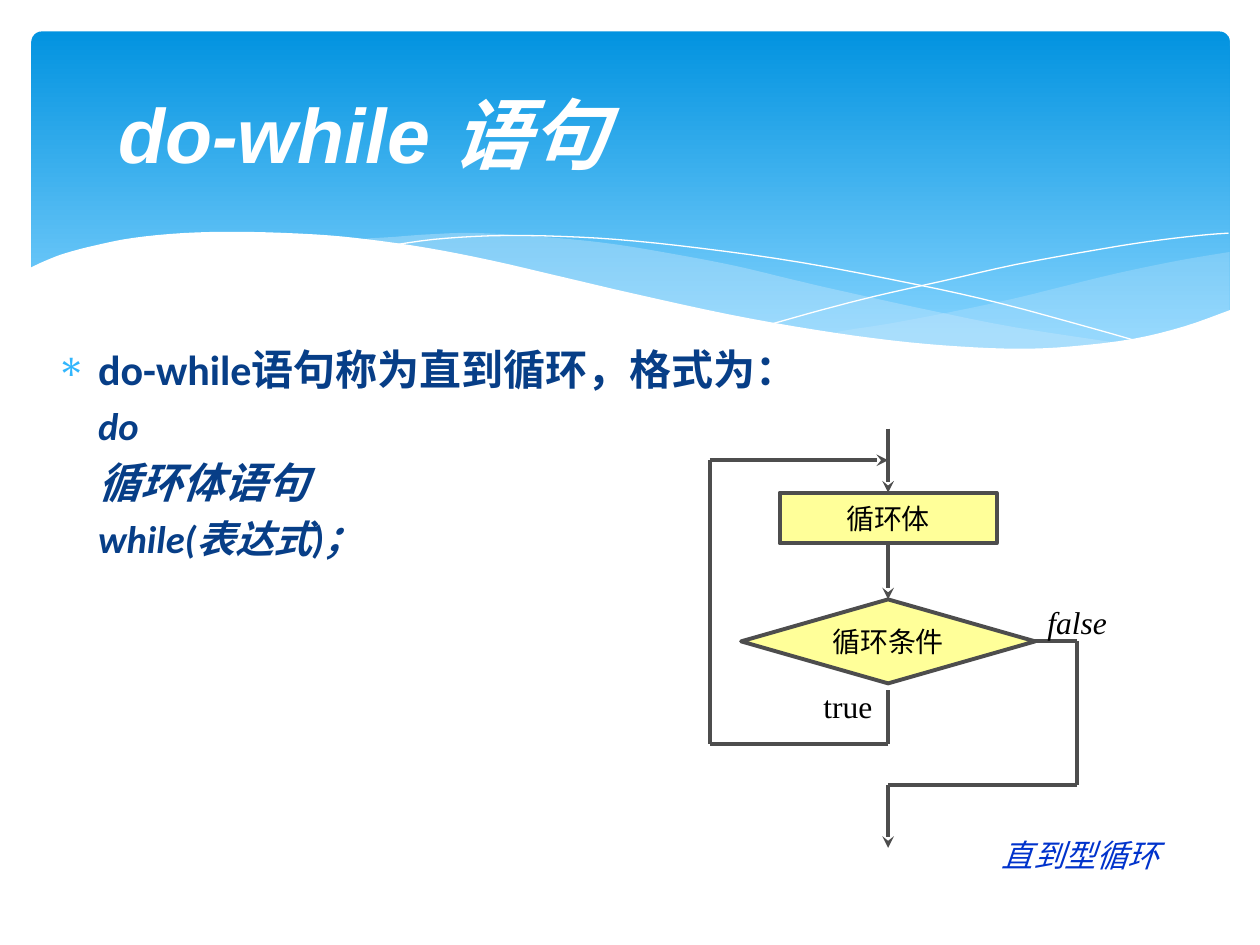
from lxml import etree
from pptx import Presentation
from pptx.dml.color import RGBColor
from pptx.enum import shapes, text
from pptx.oxml import ns
from pptx.util import Pt

COLORS = {"sky_top": "0293E0", "sky_bottom": "83D3FE", "mist": "C6E7FC", "white": "FFFFFF",
          "navy": "073E87", "bullet": "31B6FD", "box": "FFFF99", "line": "4D4D4D",
          "black": "000000", "caption": "0033CC"}

# Content
TITLE = "do-while 语句"
BODY = [  # text, size, italic, bulleted
    ("do-while语句称为直到循环，格式为：", 24, False, True),
    ("do", 22, True, False),
    ("循环体语句", 24, True, False),
    ("while(表达式)；", 22, True, False),
]
LABELS = [  # text, box, colour, italic
    ("true", (461.5, 389, 46, 29), "black", False),
    ("false", (591, 341, 49, 29), "black", True),
    ("直到型循环", (565, 474, 105, 29), "caption", True),
]

# Wave curves of the banner
RIGHT_WAVE = [
    (702.7, 144), (673, 149), (641.5, 155.5), (620, 160.6), (579.6, 170.6), (542, 178.6),
    (508, 185), (476, 190.8), (507.6, 195), (536, 198), (578, 200), (615, 198.7),
    (646, 194.4), (673, 188.6), (702.7, 177.8)]
LEFT_WAVE = [
    (643, 196.6), (581, 187.2), (533.5, 177.8), (481, 166.3), (453, 159.8), (420.5, 152),
    (389.5, 146), (352, 139.7), (318, 136), (273.6, 133.2), (247.7, 133.8), (225.4, 135.4),
    (206, 137.5), (246, 143.3), (291, 152), (323, 159.8), (381.6, 172.8), (432.7, 183.6),
    (479, 191.5), (520, 197), (556.6, 199.4), (589, 200.2), (617, 199.4), (643, 196.6)]
FALLING_STRAND = [
    (222.5, 140.4), (247.7, 136.8), (278.6, 134.8), (311.8, 134.8), (352, 136.8), (400, 141.8),
    (458, 150), (523.4, 162.5), (572.4, 173.5), (625.7, 188), (653, 195.8)]
RISING_STRAND = [
    (441.4, 185), (470, 177), (500.4, 169.2), (538.6, 160.6), (580.3, 151.2), (623.5, 143.3),
    (655, 138.2), (684.7, 134.6), (702, 133.2)]
PAGE_EDGE = [
    (703.4, 177), (676.8, 186.5), (647.3, 193.7), (612, 198), (582.5, 199.3), (548, 198),
    (510, 194.6), (466.6, 188.6), (417, 179.8), (362, 167.8), (321.8, 158.4), (281.5, 149),
    (244.8, 141.8), (210, 136.8), (180, 134), (139, 132.5), (105, 133.2), (76, 136),
    (54.7, 140.2), (37.4, 144.7), (26, 149), (16.6, 153.4)]
PAGE_CORNERS = [(16.6, 237), (703.4, 237)]

# Flowchart grid
SPINE, LOOP_X, EXIT_X = 507.5, 405.5, 615.5
LOOP_TOP, LOOP_BOTTOM, EXIT_Y = 263, 425, 448.5
PROCESS = ("循环体", shapes.MSO_SHAPE.FLOWCHART_PROCESS, 281.5, 124, 29)
DECISION = ("循环条件", shapes.MSO_SHAPE.FLOWCHART_DECISION, 342.5, 168, 48)

deck = Presentation()
deck.slide_width, deck.slide_height = Pt(720), Pt(540)
slide = deck.slides.add_slide(deck.slide_layouts[6])


def rgb(name):
    return RGBColor.from_string(COLORS[name])


def smooth_curve(knots, steps=4):
    """Catmull-Rom points through the knots."""
    padded = [knots[0], *knots, knots[-1]]
    points = [knots[0]]
    for a, b, c, d in zip(padded, padded[1:], padded[2:], padded[3:]):
        for step in range(1, steps + 1):
            t = step / steps
            points.append(tuple(
                0.5 * (2 * q + (r - p) * t + (2 * p - 5 * q + 4 * r - s) * t ** 2
                       + (3 * q - p - 3 * r + s) * t ** 3)
                for p, q, r, s in zip(a, b, c, d)))
    return points


def add_outline(points, fill=None, alpha=100):
    (start_x, start_y), *rest = [(Pt(x), Pt(y)) for x, y in points]
    builder = slide.shapes.build_freeform(start_x, start_y)
    builder.add_line_segments(rest, close=fill is not None)
    outline = builder.convert_to_shape()
    outline.shadow.inherit = False
    if fill is None:
        outline.fill.background()
        outline.line.color.rgb = rgb("white")
        outline.line.width = Pt(0)
        return
    outline.line.fill.background()
    outline.fill.solid()
    outline.fill.fore_color.rgb = rgb(fill)
    if alpha < 100:
        color = outline.fill._xPr.find(".//" + ns.qn("a:srgbClr"))
        etree.SubElement(color, ns.qn("a:alpha"), val=str(alpha * 1000))


def style(paragraph, size, font, color, bold=False, italic=False):
    for run in paragraph.runs:
        run.font.size, run.font.name = Pt(size), font
        run.font.color.rgb = rgb(color)
        run.font.bold, run.font.italic = bold, italic


def add_text(box, wrap=True, anchor=text.MSO_ANCHOR.MIDDLE):
    frame = slide.shapes.add_textbox(*map(Pt, box)).text_frame
    frame.word_wrap, frame.vertical_anchor = wrap, anchor
    return frame


def add_step(label, kind, top, width, height):
    step = slide.shapes.add_shape(kind, Pt(SPINE - width / 2), Pt(top), Pt(width), Pt(height))
    step.shadow.inherit = False
    step.fill.solid()
    step.fill.fore_color.rgb = rgb("box")
    step.line.color.rgb, step.line.width = rgb("line"), Pt(2.25)
    frame = step.text_frame
    frame.text, frame.word_wrap = label, False
    frame.vertical_anchor = text.MSO_ANCHOR.MIDDLE
    frame.paragraphs[0].alignment = text.PP_ALIGN.CENTER
    style(frame.paragraphs[0], 16, "Times New Roman", "black")
    return step


def add_flow(points, arrow=False, begin=None, end=None):
    """Straight segments through the points, the last one with an optional arrowhead."""
    for start, stop in zip(points, points[1:]):
        flow = slide.shapes.add_connector(shapes.MSO_CONNECTOR.STRAIGHT, *map(Pt, start + stop))
        flow.line.color.rgb, flow.line.width = rgb("line"), Pt(2.25)
        if arrow and stop == points[-1]:
            etree.SubElement(flow.line._get_or_add_ln(), ns.qn("a:tailEnd"), type="stealth")
        etree.SubElement(flow._element.spPr, ns.qn("a:effectLst"))
        if begin and start == points[0]:
            flow.begin_connect(*begin)
        if end and stop == points[-1]:
            flow.end_connect(*end)


# Banner
banner = slide.shapes.add_shape(shapes.MSO_SHAPE.ROUNDED_RECTANGLE, Pt(18), Pt(18), Pt(684.7), Pt(194.4))
banner.adjustments[0] = 0.03
banner.shadow.inherit = False
banner.line.fill.background()
banner.fill.gradient()
banner.fill.gradient_angle = 270
for stop, position, color in zip(banner.fill.gradient_stops, (0, 0.9), ("sky_top", "sky_bottom")):
    stop.position, stop.color.rgb = position, rgb(color)
add_outline(smooth_curve(RIGHT_WAVE), "mist", 29)
add_outline(smooth_curve(LEFT_WAVE), "mist", 40)
add_outline(smooth_curve(FALLING_STRAND))
add_outline(smooth_curve(RISING_STRAND))
add_outline(smooth_curve(PAGE_EDGE) + PAGE_CORNERS, "white")

# Flowchart
process, decision = add_step(*PROCESS), add_step(*DECISION)
decision_mid = DECISION[2] + DECISION[4] / 2
decision_right = SPINE + DECISION[3] / 2
add_flow([(SPINE, 245), (SPINE, PROCESS[2])], arrow=True, end=(process, 0))
add_flow([(SPINE, PROCESS[2] + PROCESS[4]), (SPINE, DECISION[2])], arrow=True,
         begin=(process, 2), end=(decision, 0))
add_flow([(SPINE, 394.5), (SPINE, LOOP_BOTTOM), (LOOP_X, LOOP_BOTTOM),
          (LOOP_X, LOOP_TOP), (SPINE, LOOP_TOP)], arrow=True)
add_flow([(decision_right, decision_mid), (EXIT_X, decision_mid), (EXIT_X, EXIT_Y),
          (SPINE, EXIT_Y), (SPINE, 484.5)], arrow=True, begin=(decision, 3))
for label, box, color, italic in LABELS:
    frame = add_text(box, wrap=False)
    frame.text = label
    frame.paragraphs[0].alignment = text.PP_ALIGN.CENTER
    style(frame.paragraphs[0], 18, "Times New Roman", color, italic=italic)

# Body
body = add_text((25, 193, 499, 300), anchor=text.MSO_ANCHOR.TOP)
body.text = "\n".join(line[0] for line in BODY)
for paragraph, (_, size, italic, bulleted) in zip(body.paragraphs, BODY):
    style(paragraph, size, "Calibri", "navy", bold=True, italic=italic)
    paragraph.space_before = Pt(size * 0.2)
    props = paragraph._p.get_or_add_pPr()
    props.set("marL", str(Pt(24)))
    props.set("indent", str(Pt(-24 if bulleted else 0)))
    if bulleted:
        bullet_color = etree.SubElement(props, ns.qn("a:buClr"))
        etree.SubElement(bullet_color, ns.qn("a:srgbClr"), val=COLORS["bullet"])
        etree.SubElement(props, ns.qn("a:buFont"), typeface="Symbol")
        etree.SubElement(props, ns.qn("a:buChar"), char="∗")

# Title
title = add_text((60.5, 26.5, 623.5, 98.5))
title.text = TITLE
style(title.paragraphs[0], 44, "Arial", "white", bold=True, italic=True)

deck.save("out.pptx")
